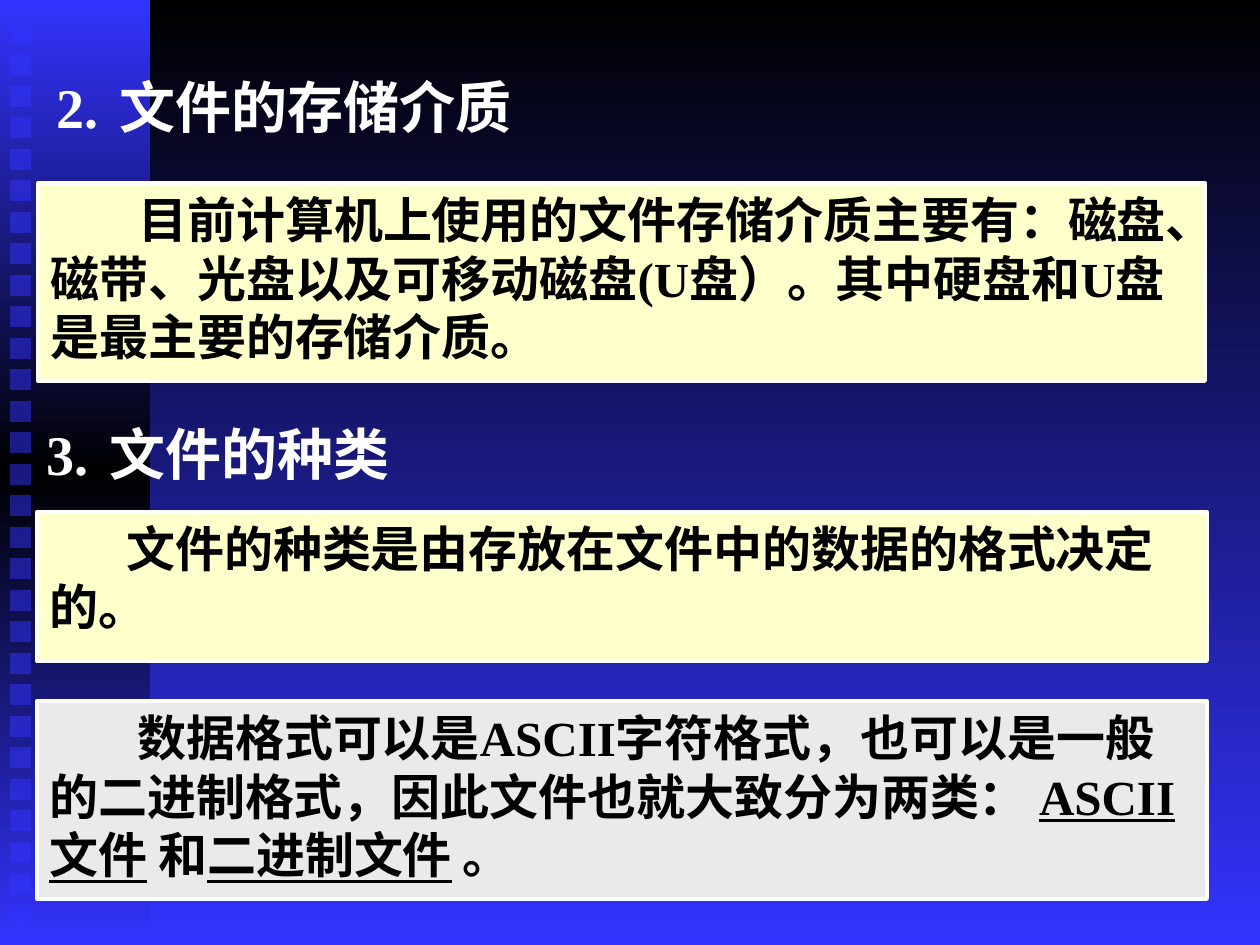
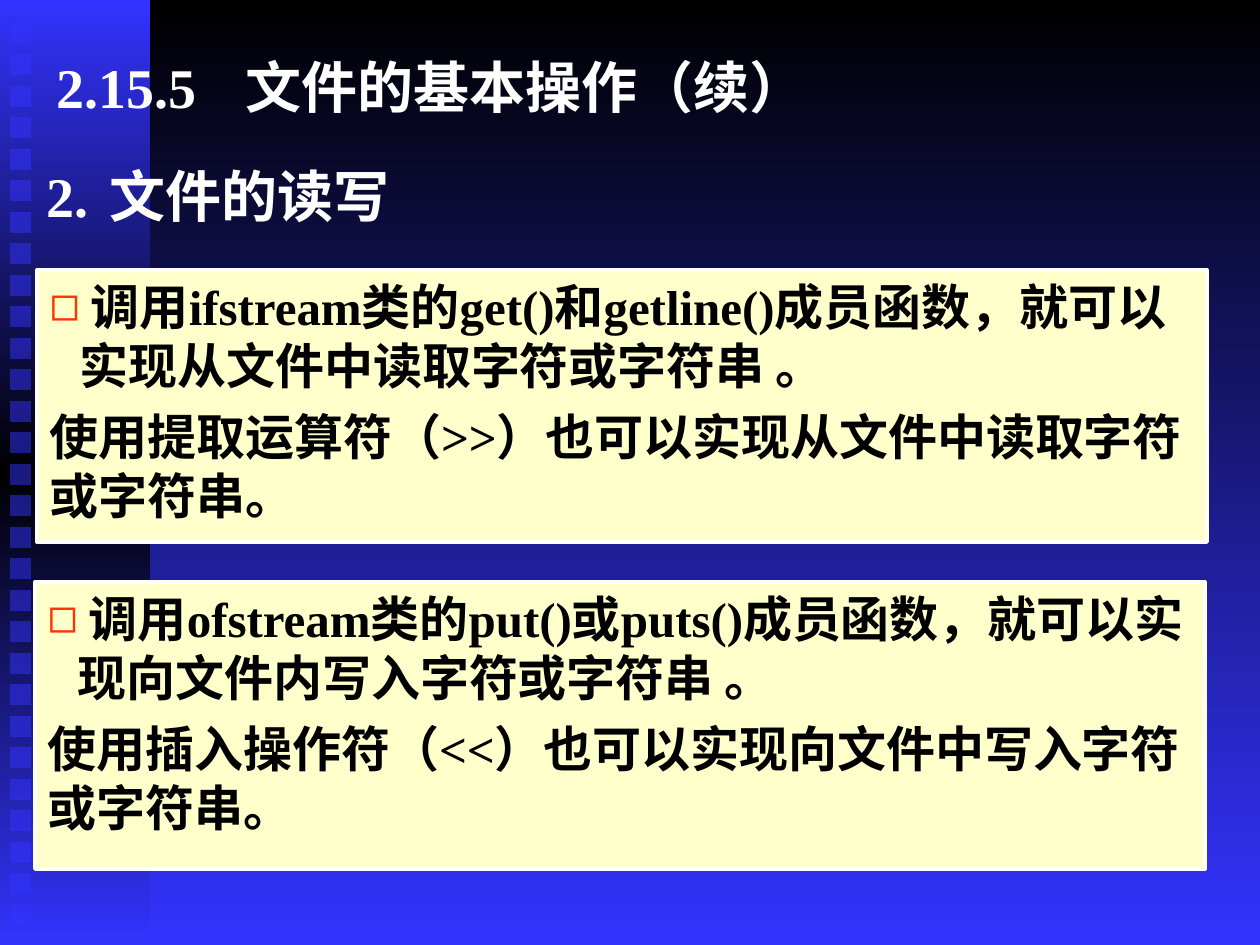
import copy

import lxml.etree
import pptx
import pptx.dml.color
import pptx.enum.shapes
import pptx.enum.text
import pptx.oxml.ns
import pptx.util

COLORS = {
    "black": "000000",
    "blue": "3333FF",
    "white": "FFFFFF",
    "cream": "FFFFCC",
    "grey": "EAEAEA",
    "bullet": "FF3300",
}
FONT = "Times New Roman"
SCALE = 914400 / 126
TITLE_ONLY, TWO_CONTENT = 5, 3


def px(value):
    return pptx.util.Emu(round(value * SCALE))


def rgb(name):
    return pptx.dml.color.RGBColor.from_string(COLORS[name])


def add_node(parent, tag, **attributes):
    node = lxml.etree.SubElement(parent, pptx.oxml.ns.qn(tag))
    for key, value in attributes.items():
        node.set(key, str(value))
    return node


class Lecture:
    def __init__(self):
        self.deck = pptx.Presentation()
        self.deck.slide_width = px(1260)
        self.deck.slide_height = px(945)
        self.page = None

    def add_page(self, layout):
        self.page = self.deck.slides.add_slide(self.deck.slide_layouts[layout])

    def paint_gradient(self, fill, names):
        fill.gradient()
        fill.gradient_angle = 270
        for stop, name in zip(fill.gradient_stops, names):
            stop.color.rgb = rgb(name)

    def add_block(self, left, top, width, height):
        shape = self.page.shapes.add_shape(
            pptx.enum.shapes.MSO_SHAPE.RECTANGLE, px(left), px(top), px(width), px(height))
        shape.shadow.inherit = False
        shape.line.fill.background()
        return shape

    def decorate_master(self):
        master = self.deck.slide_master
        self.paint_gradient(master.background.fill, ["black", "blue"])
        band = self.add_block(0, 0, 150, 945)
        self.paint_gradient(band.fill, ["blue", "black"])
        stops = band.element.find(".//" + pptx.oxml.ns.qn("a:gsLst"))
        stops[1].set("pos", "50000")
        stops.append(copy.deepcopy(stops[0]))
        stops[2].set("pos", "100000")
        blocks = [band]
        for index in range(29):
            square = self.add_block(10, 23 + index * 63 // 2, 21, 21)
            square.fill.solid()
            square.fill.fore_color.rgb = rgb("blue")
            color = square.element.spPr.find(".//" + pptx.oxml.ns.qn("a:srgbClr"))
            add_node(color, "a:alpha", val=50000)
            blocks.append(square)
        for position, block in enumerate(blocks, start=2):
            master.shapes.element.insert(position, block.element)

    def prepare(self, shape, left, top, width, height):
        shape.left, shape.top = px(left), px(top)
        shape.width, shape.height = px(width), px(height)
        frame = shape.text_frame
        frame.word_wrap = True
        frame.auto_size = pptx.enum.text.MSO_AUTO_SIZE.NONE
        frame.vertical_anchor = pptx.enum.text.MSO_ANCHOR.TOP
        return frame

    def fill_para(self, para, spans, size, color, before=0, margin=0, indent=0,
                  bullet=None, tab=None):
        para.alignment = pptx.enum.text.PP_ALIGN.LEFT
        para.space_before = pptx.util.Pt(before)
        properties = para._p.get_or_add_pPr()
        properties.set("marL", str(px(margin)))
        properties.set("indent", str(px(indent)))
        if bullet:
            add_node(add_node(properties, "a:buClr"), "a:srgbClr", val=COLORS["bullet"])
            add_node(properties, "a:buFont", typeface=FONT)
            add_node(properties, "a:buChar", char=bullet)
        else:
            add_node(properties, "a:buNone")
        if tab:
            add_node(add_node(properties, "a:tabLst"), "a:tab", pos=px(tab), algn="l")
        for text, underlined in spans:
            span = para.add_run()
            span.text = text
            span.font.name = FONT
            span.font.size = pptx.util.Pt(size)
            span.font.bold = True
            span.font.underline = underlined
            span.font.color.rgb = rgb(color)

    def add_heading(self, number, text, left, top, tab=84, shape=None):
        shape = shape or self.page.shapes.add_textbox(0, 0, 0, 0)
        frame = self.prepare(shape, left, top, 882, 94)
        self.fill_para(frame.paragraphs[0], [(f"{number}\t{text}", False)], 32, "white", tab=tab)

    def add_title(self, number, text, top, tab=84):
        self.add_heading(number, text, 44, top, tab, self.page.shapes.title)

    def style_panel(self, shape, fill):
        shape.fill.solid()
        shape.fill.fore_color.rgb = rgb(fill)
        shape.line.color.rgb = rgb("white")
        shape.line.width = pptx.util.Pt(2.25)

    def add_panel(self, spans, left, top, width, height, indent, fill="cream"):
        panel = self.add_block(left, top, width, height)
        self.style_panel(panel, fill)
        frame = self.prepare(panel, left, top, width, height)
        self.fill_para(frame.paragraphs[0], spans, 28, "black", indent=indent)

    def add_list(self, slot, bulleted, plain, left, top, height):
        panel = self.page.placeholders[slot]
        self.style_panel(panel, "cream")
        frame = self.prepare(panel, left, top, 1170, height)
        self.fill_para(frame.paragraphs[0], [(bulleted, False)], 28, "black",
                       margin=30, indent=-30, bullet="◻")
        self.fill_para(frame.add_paragraph(), [(plain, False)], 28, "black", before=7)


def main():
    lecture = Lecture()

    lecture.add_page(TITLE_ONLY)
    lecture.decorate_master()
    lecture.add_title("2.", "文件的存储介质", 66)
    lecture.add_panel(
        [("目前计算机上使用的文件存储介质主要有：磁盘、磁带、光盘以及可移动磁盘(U盘）。"
          "其中硬盘和U盘是最主要的存储介质。", False)],
        38, 183, 1167, 198, 88)
    lecture.add_heading("3.", "文件的种类", 34, 413)
    lecture.add_panel([("文件的种类是由存放在文件中的数据的格式决定的。", False)],
                      37, 512, 1170, 149, 77)
    lecture.add_panel(
        [("数据格式可以是ASCII字符格式，也可以是一般的二进制格式，因此文件也就大致分为两类： ", False),
         ("ASCII文件", True), (" 和", False), ("二进制文件", True), (" 。", False)],
        37, 701, 1170, 198, 88, "grey")

    lecture.add_page(TWO_CONTENT)
    lecture.add_title("2.15.5", "文件的基本操作（续）", 46, 182)
    lecture.add_heading("2.", "文件的读写", 34, 155)
    lecture.add_list(
        1, " 调用ifstream类的get()和getline()成员函数，就可以实现从文件中读取字符或字符串 。",
        "使用提取运算符（>>）也可以实现从文件中读取字符或字符串。", 37, 270, 272)
    lecture.add_list(
        2, " 调用ofstream类的put()或puts()成员函数，就可以实现向文件内写入字符或字符串 。",
        "使用插入操作符（<<）也可以实现向文件中写入字符或字符串。", 35, 582, 287)

    lecture.deck.save("out.pptx")


if __name__ == "__main__":
    main()
